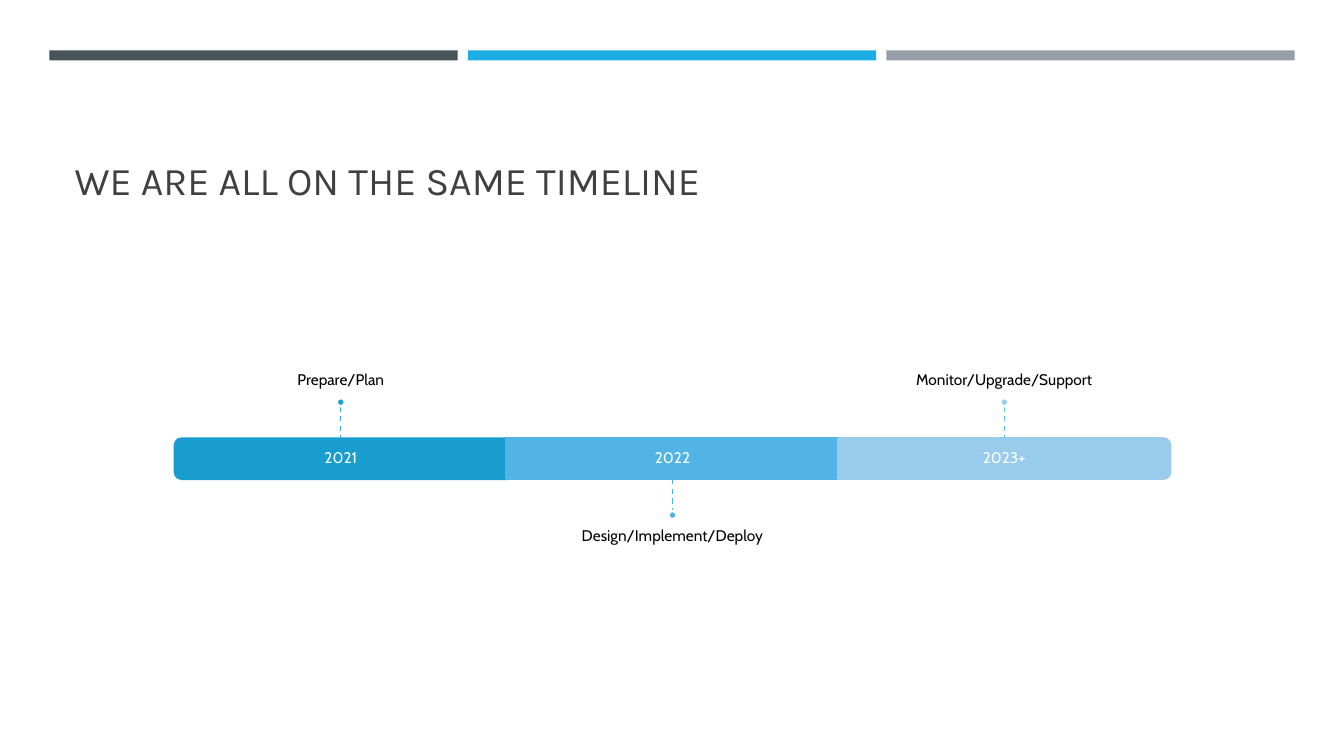
from pptx import Presentation
from pptx.dml.color import RGBColor
from pptx.enum.dml import MSO_LINE
from pptx.enum.shapes import MSO_CONNECTOR, MSO_SHAPE
from pptx.enum.text import MSO_ANCHOR, MSO_AUTO_SIZE, PP_ALIGN
from pptx.oxml.ns import qn
from pptx.util import Inches, Pt
from lxml.etree import SubElement


def tint(code):
    return RGBColor.from_string(code)


class Deck:
    """Holds the style and the current slide, and draws each kind of element."""

    head = "Karla"
    body = "Cabin"

    def __init__(self):
        self.file = Presentation()
        self.file.slide_width = Inches(13.33)
        self.file.slide_height = Inches(7.5)
        self.page = self.file.slides.add_slide(self.file.slide_layouts[5])

    def add_text(self, para, text, font, size, color):
        run = para.add_run()
        run.text = text
        run.font.name = font
        run.font.size = Pt(size)
        run.font.color.rgb = tint(color)

    def title(self, text, x, y, w, h):
        box = self.page.shapes.title
        box.left, box.top = Inches(x), Inches(y)
        box.width, box.height = Inches(w), Inches(h)
        frame = box.text_frame
        frame.auto_size = MSO_AUTO_SIZE.NONE
        frame.vertical_anchor = MSO_ANCHOR.BOTTOM
        para = frame.paragraphs[0]
        para.alignment = PP_ALIGN.LEFT
        self.add_text(para, text, self.head, 28, "404040")

    def shape(self, kind, x, y, w, h, fill, line=None, turn=0):
        item = self.page.shapes.add_shape(
            kind, Inches(x), Inches(y), Inches(w), Inches(h))
        item.shadow.inherit = False
        item.rotation = turn
        item.fill.solid()
        item.fill.fore_color.rgb = tint(fill)
        if line:
            item.line.color.rgb = tint(line)
            item.line.width = Pt(1.75)
        else:
            item.line.fill.background()

    def label(self, text, x, y, w, h, anchor, color, top=0, base=0):
        box = self.page.shapes.add_textbox(
            Inches(x), Inches(y), Inches(w), Inches(h))
        frame = box.text_frame
        frame.word_wrap = True
        frame.vertical_anchor = anchor
        frame.margin_left = frame.margin_right = 0
        frame.margin_top, frame.margin_bottom = Inches(top), Inches(base)
        para = frame.paragraphs[0]
        para.alignment = PP_ALIGN.CENTER
        para.line_spacing = 0.9
        self.add_text(para, text, self.body, 11, color)

    def dash(self, x, top, base, color):
        link = self.page.shapes.add_connector(
            MSO_CONNECTOR.STRAIGHT, Inches(x), Inches(top), Inches(x), Inches(base))
        link.line.color.rgb = tint(color)
        link.line.width = Pt(1)
        link.line.dash_style = MSO_LINE.DASH
        SubElement(link._element.spPr, qn("a:effectLst"))


def main():
    deck = Deck()
    for i, color in enumerate(("465359", "1CADE4", "969FA7")):
        deck.shape(MSO_SHAPE.RECTANGLE, 0.49 + 4.15 * i, 0.5, 4.05, 0.1, color)
    deck.title("WE ARE ALL ON THE SAME TIMELINE", 0.64, 0.77, 12.06, 1.3)

    top, high, wide = 4.35, 0.4, 3.29
    base, mid = top + high, top + high / 2
    stem, dot, span, tall = 0.32, 0.08, 5.48, 1.39
    steps = (
        ("2021", "Prepare/Plan", "199DCF", "36B3E9", 270),
        ("2022", "Design/Implement/Deploy", "52B3E5", "48B8EC", 0),
        ("2023+", "Monitor/Upgrade/Support", "99CBEC", "5ABEEF", 90),
    )
    for i, (year, task, fill, line, turn) in enumerate(steps):
        x = 6.67 + (i - 1) * wide
        left = x - wide / 2
        if turn:
            deck.shape(MSO_SHAPE.ROUND_2_SAME_RECTANGLE, x - high / 2,
                       mid - wide / 2, high, wide, fill, fill, turn)
            start, end = top - stem, top
            spot = start - dot
            deck.label(task, x - span / 2, spot - tall, span, tall,
                       MSO_ANCHOR.BOTTOM, "000000", base=0.09)
        else:
            deck.shape(MSO_SHAPE.RECTANGLE, left, top, wide, high, fill, fill)
            start, end = base, base + stem
            spot = end
            deck.label(task, x - span / 2, spot + dot, span, tall,
                       MSO_ANCHOR.TOP, "000000", top=0.09)
        deck.label(year, left, top, wide, high, MSO_ANCHOR.MIDDLE, "FFFFFF")
        deck.dash(x, start, end, line)
        deck.shape(MSO_SHAPE.OVAL, x - dot / 2, spot, dot, dot, fill, "FFFFFF")

    deck.file.save("out.pptx")


if __name__ == "__main__":
    main()
